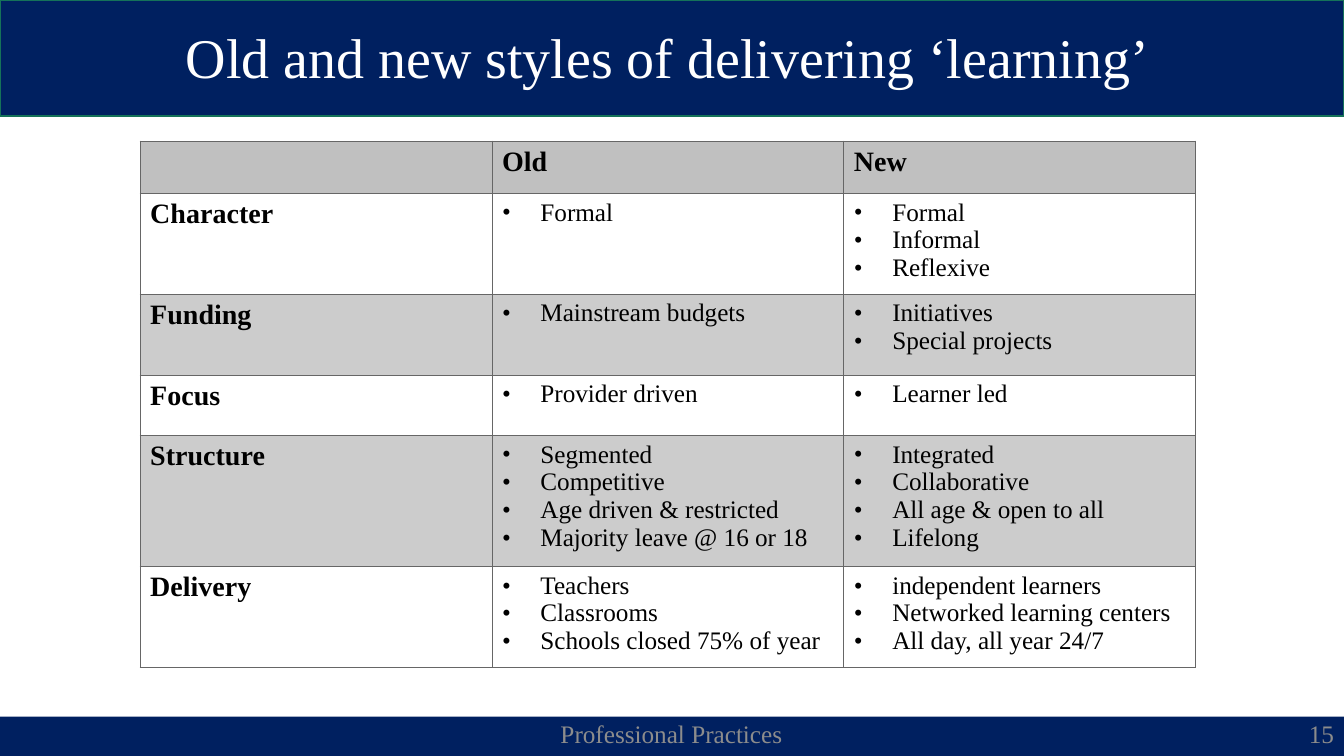
from lxml import etree
from pptx import Presentation
from pptx.dml.color import RGBColor
from pptx.enum import shapes, text
from pptx.oxml import ns
from pptx.util import Inches, Pt

TITLE = "Old and new styles of delivering ‘learning’ "
FOOTER = "Professional Practices"
SLIDE_NUMBER = "15"
HEADINGS = ["", "Old", "New"]
# Aspect, old style, new style, row height in inches
ASPECTS = [
    ("Character", ["Formal"], ["Formal", "Informal", "Reflexive"], 1),
    ("Funding", ["Mainstream budgets"], ["Initiatives", "Special projects"], 0.8),
    ("Focus", ["Provider driven"], ["Learner led"], 0.6),
    ("Structure",
     ["Segmented", "Competitive", "Age driven & restricted", "Majority leave @ 16 or 18"],
     ["Integrated", "Collaborative", "All age & open to all", "Lifelong"], 1.21),
    ("Delivery",
     ["Teachers", "Classrooms", "Schools closed 75% of year"],
     ["independent learners", "Networked learning centers", "All day, all year 24/7"], 1),
]
HEADER_HEIGHT = 0.52
COLUMN_WIDTH = 3.49
INDENT = 0.38

FONT = "Times New Roman"
NAVY = RGBColor(0x00, 0x20, 0x60)
GREEN = RGBColor(0x15, 0x72, 0x59)
WHITE = RGBColor(0xFF, 0xFF, 0xFF)
BLACK = RGBColor(0x00, 0x00, 0x00)
FOOTER_GREY = RGBColor(0x8C, 0x8C, 0x8C)
HEADER_GREY = RGBColor(0xC0, 0xC0, 0xC0)
BAND_GREY = RGBColor(0xCC, 0xCC, 0xCC)
BORDER_GREY = "666666"

ALIGN = text.PP_ALIGN
HEADING = {"size": Pt(20), "bold": True}
ITEM = {"size": Pt(18), "bold": False}


def write(paragraph, words, color, **font_format):
    run = paragraph.add_run()
    run.text = words
    run.font.color.rgb = color
    for name, value in {"name": FONT, **font_format}.items():
        setattr(run.font, name, value)


def add_bar(slide, top, height, line_color=None):
    bar = slide.shapes.add_shape(shapes.MSO_SHAPE.RECTANGLE, 0, Inches(top),
                                 Inches(13.33), Inches(height))
    bar.shadow.inherit = False
    bar.fill.solid()
    bar.fill.fore_color.rgb = NAVY
    if line_color is None:
        bar.line.fill.background()
    else:
        bar.line.color.rgb = line_color
        bar.line.width = Pt(1)


def add_footer_text(slide, words, left, width, alignment):
    box = slide.shapes.add_textbox(Inches(left), Inches(7.08), Inches(width), Inches(0.4))
    frame = box.text_frame
    frame.word_wrap = True
    frame.vertical_anchor = text.MSO_ANCHOR.MIDDLE
    frame.paragraphs[0].alignment = alignment
    write(frame.paragraphs[0], words, FOOTER_GREY, size=Pt(18))


def add_borders(cell):
    properties = cell._tc.get_or_add_tcPr()
    for side in ("a:lnL", "a:lnR", "a:lnT", "a:lnB"):
        line = etree.SubElement(properties, ns.qn(side), w=str(Pt(0.75)))
        fill = etree.SubElement(line, ns.qn("a:solidFill"))
        etree.SubElement(fill, ns.qn("a:srgbClr"), val=BORDER_GREY)


def fill_cell(cell, lines, font_format, background, bulleted):
    add_borders(cell)
    if background is None:
        cell.fill.background()
    else:
        cell.fill.solid()
        cell.fill.fore_color.rgb = background
    for index, words in enumerate(lines):
        frame = cell.text_frame
        paragraph = frame.add_paragraph() if index else frame.paragraphs[0]
        properties = paragraph._p.get_or_add_pPr()
        properties.set("marL", str(Inches(INDENT)))
        properties.set("indent", str(-Inches(INDENT)))
        if bulleted:
            etree.SubElement(properties, ns.qn("a:buFont"), typeface=FONT)
            etree.SubElement(properties, ns.qn("a:buChar"), char="•")
        if words:
            write(paragraph, words, BLACK, **font_format)


def add_comparison_table(slide):
    heights = [HEADER_HEIGHT] + [aspect[-1] for aspect in ASPECTS]
    frame = slide.shapes.add_table(len(heights), len(HEADINGS), Inches(1.39), Inches(1.4),
                                   Inches(COLUMN_WIDTH * len(HEADINGS)), Inches(sum(heights)))
    table = frame.table
    table.first_row = table.horz_banding = False
    for column in table.columns:
        column.width = Inches(COLUMN_WIDTH)
    for row, height in zip(table.rows, heights):
        row.height = Inches(height)

    for column, heading in enumerate(HEADINGS):
        fill_cell(table.cell(0, column), [heading], HEADING, HEADER_GREY, False)
    for row, (aspect, old, new, _) in enumerate(ASPECTS, start=1):
        background = None if row % 2 else BAND_GREY
        fill_cell(table.cell(row, 0), [aspect], HEADING, background, False)
        for column, items in enumerate((old, new), start=1):
            fill_cell(table.cell(row, column), items, ITEM, background, True)


def format_title(title):
    """Place the title in front of the top bar and write it."""
    title.element.getparent().append(title.element)
    title.left, title.top = Inches(0.92), Inches(0.02)
    title.width, title.height = Inches(11.5), Inches(1.15)
    frame = title.text_frame
    frame.word_wrap = True
    frame.auto_size = text.MSO_AUTO_SIZE.NONE
    frame.vertical_anchor = text.MSO_ANCHOR.MIDDLE
    paragraph = frame.paragraphs[0]
    paragraph.alignment = ALIGN.CENTER
    paragraph.line_spacing = 0.9
    write(paragraph, TITLE, WHITE, size=Pt(40))


def main():
    presentation = Presentation()
    presentation.slide_width, presentation.slide_height = Inches(13.33), Inches(7.5)
    slide = presentation.slides.add_slide(presentation.slide_layouts[5])
    add_bar(slide, 7.11, 0.4)
    add_bar(slide, 0, 1.15, GREEN)
    format_title(slide.shapes.title)
    add_footer_text(slide, FOOTER, 4.41, 4.5, ALIGN.CENTER)
    add_footer_text(slide, SLIDE_NUMBER, 10.33, 3, ALIGN.RIGHT)
    add_comparison_table(slide)
    presentation.save("out.pptx")


if __name__ == "__main__":
    main()
